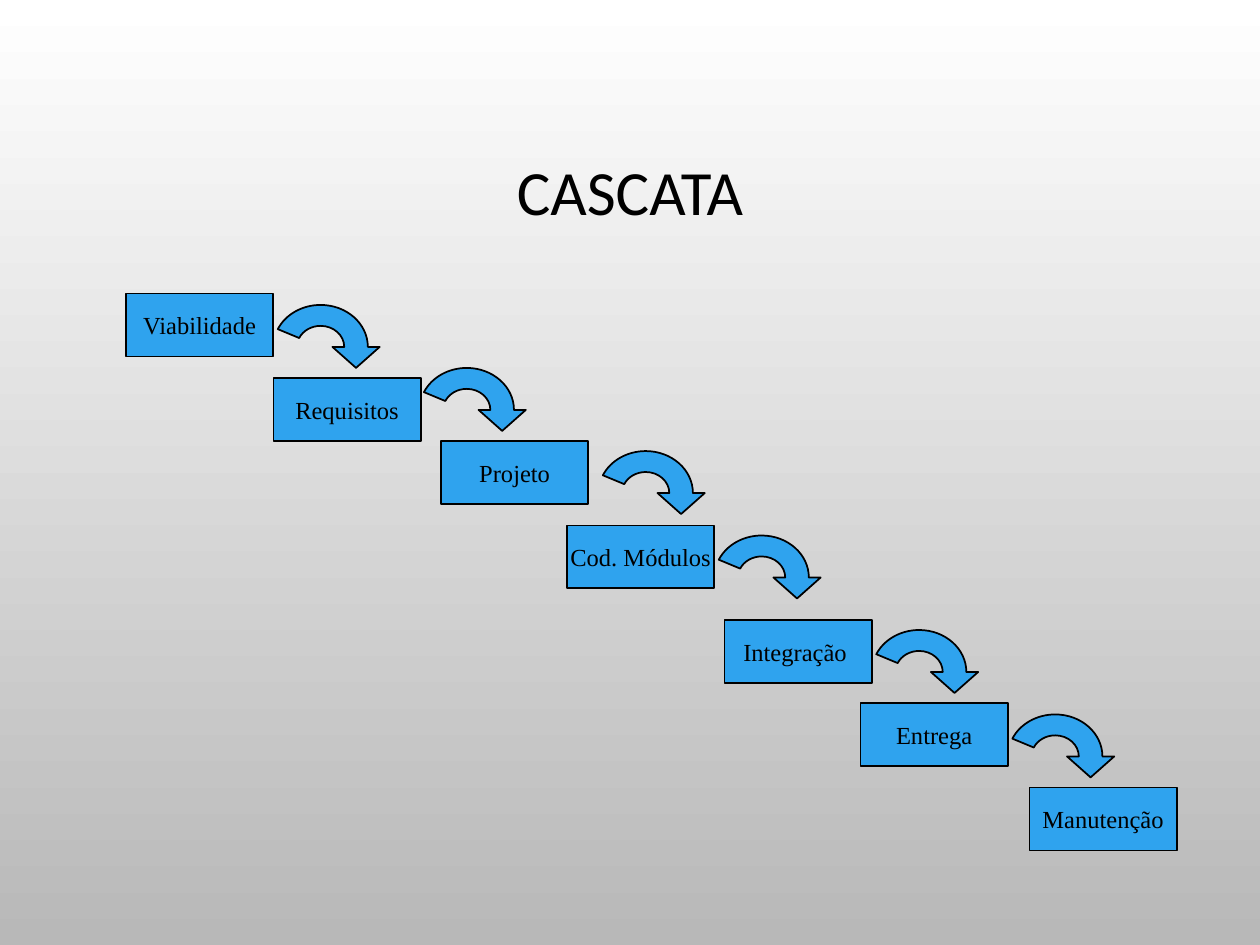
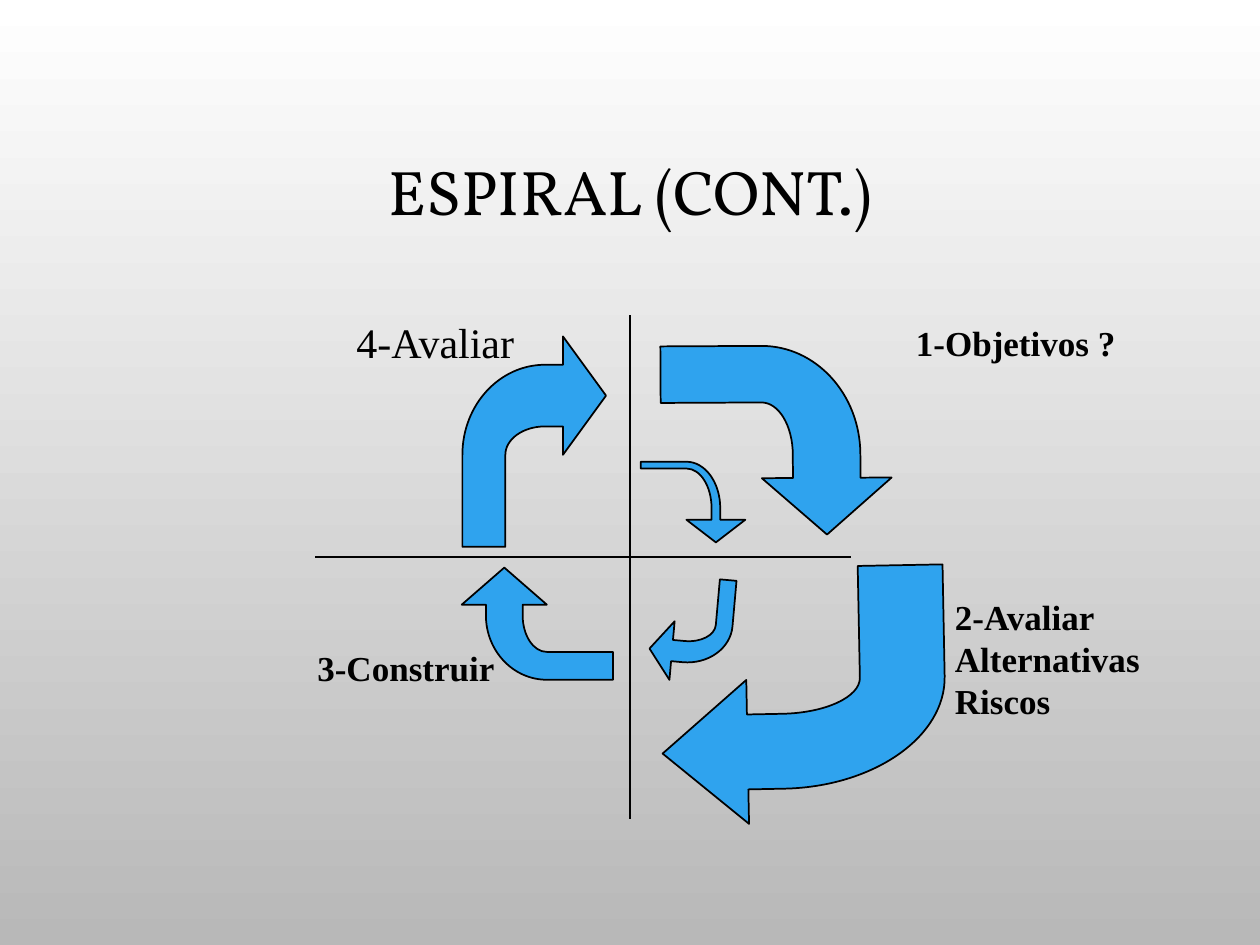
from dataclasses import dataclass
from math import cos, radians, sin, tan

from pptx import Presentation
from pptx.dml.color import RGBColor
from pptx.enum.shapes import MSO_CONNECTOR, MSO_SHAPE
from pptx.enum.text import MSO_ANCHOR, MSO_AUTO_SIZE, PP_ALIGN
from pptx.oxml.ns import qn
from pptx.util import Inches, Pt

BLACK, WHITE, GRAY, BLUE = "000000", "FFFFFF", "B8B8B8", "2FA3EE"
BODY_FONT = "Times New Roman"
RECT, STRAIGHT = MSO_SHAPE.RECTANGLE, MSO_CONNECTOR.STRAIGHT
CENTER, MIDDLE = PP_ALIGN.CENTER, MSO_ANCHOR.MIDDLE
FIT_TEXT = MSO_AUTO_SIZE.SHAPE_TO_FIT_TEXT
TITLE_ONLY = 5

STEP_W, STEP_H = 1.17, 0.5
CURVE_RX, CURVE_RY = 0.375, 0.333

Point = tuple[float, float]
Segment = list[Point]  # one point for a line, three for a Bézier curve


@dataclass
class Step:
    text: str
    left: float
    top: float


@dataclass
class BentArrow:
    """Arrow rising from the lower left and turning right, before rotation.

    neck is where the head starts across the width, and shaft_top is
    the upper edge of the shaft; both are fractions of the box.
    """
    left: float
    top: float
    width: float
    height: float
    rotation: float = 0
    neck: float = 0.7
    shaft_top: float = 0.135


@dataclass
class Label:
    text: str
    left: float
    top: float
    width: float
    height: float
    size: int = 20
    bold: bool = True


STEPS = [
    Step("Viabilidade", 1, 2.33),
    Step("Requisitos", 2.17, 3),
    Step("Projeto", 3.5, 3.5),
    Step("Cod. Módulos", 4.5, 4.17),
    Step("Integração ", 5.75, 4.92),
    Step("Entrega", 6.83, 5.58),
    Step("Manutenção", 8.17, 6.25),
]
CURVE_ORIGINS = [(2.17, 2.42), (3.33, 2.92), (4.75, 3.58),
                 (5.67, 4.25), (6.92, 5), (8, 5.67)]

AXES = [(5, 2.5, 5, 6.5), (2.5, 4.42, 6.75, 4.42)]
SPIRAL = [
    BentArrow(5.17, 4.58, 0.64, 0.83, 185.1, 0.72, 0.18),
    BentArrow(5.18, 3.57, 0.64, 0.83, 90, 0.72, 0.24),
    BentArrow(3.82, 4.35, 0.89, 1.2, 270, 0.67, 0.16),
    BentArrow(3.67, 2.67, 1.14, 1.67),
    BentArrow(5.41, 2.58, 1.5, 1.83, 89.7),
    BentArrow(5.25, 4.5, 2.25, 2.03, 178.9),
]
LABELS = [
    Label("1-Objetivos ?", 7.17, 2.5, 1.81, 0.44),
    Label("2-Avaliar\nAlternativas\nRiscos", 7.48, 4.68, 1.69, 1.44),
    Label("3-Construir", 2.42, 5.08, 1.63, 0.44),
    Label("4-Avaliar", 2.73, 2.46, 1.49, 0.5, 24, False),
]


def rgb(color: str) -> RGBColor:
    return RGBColor.from_string(color)


def format_text(tf, size: int, font: str = BODY_FONT, bold: bool = False,
                align=None) -> None:
    for p in tf.paragraphs:
        p.alignment = align
        for r in p.runs:
            r.font.size = Pt(size)
            r.font.name = font
            r.font.bold = bold
            r.font.color.rgb = rgb(BLACK)


def paint(sp) -> None:
    """Give a shape the blue fill and thin black outline."""
    sp.shadow.inherit = False
    sp.fill.solid()
    sp.fill.fore_color.rgb = rgb(BLUE)
    sp.line.color.rgb = rgb(BLACK)
    sp.line.width = Pt(1)


def set_background(prs) -> None:
    fill = prs.slide_master.background.fill
    fill.gradient()
    fill.gradient_angle = 270
    for stop, color in zip(fill.gradient_stops, (WHITE, GRAY)):
        stop.color.rgb = rgb(color)


def add_titled_slide(prs, text: str, font: str):
    s = prs.slides.add_slide(prs.slide_layouts[TITLE_ONLY])
    title = s.shapes.title
    title.left, title.top = Inches(0.75), Inches(0.68)
    title.width, title.height = Inches(8.5), Inches(1.74)
    tf = title.text_frame
    tf.text = text
    tf.vertical_anchor = MIDDLE
    tf.paragraphs[0].line_spacing = 0.9
    format_text(tf, 36, font, align=CENTER)
    return s


def arc(cx: float, cy: float, rx: float, ry: float,
        *angles: float) -> list[Segment]:
    """Start point, then a curve to each next angle, clockwise from right."""
    def at(angle: float) -> Point:
        return cx + rx * cos(angle), cy + ry * sin(angle)

    turns = [radians(angle) for angle in angles]
    segments = [[at(turns[0])]]
    for a, b in zip(turns, turns[1:]):
        k = 4 / 3 * tan((b - a) / 4)
        (x1, y1), (x2, y2) = at(a), at(b)
        segments.append([(x1 - k * rx * sin(a), y1 + k * ry * cos(a)),
                         (x2 + k * rx * sin(b), y2 - k * ry * cos(b)),
                         (x2, y2)])
    return segments


def add_outline(s, segments: list[Segment]):
    start, *rest = [(Inches(x), Inches(y)) for seg in segments for x, y in seg]
    builder = s.shapes.build_freeform(*start)
    builder.add_line_segments(rest, close=True)
    sp = builder.convert_to_shape()
    paint(sp)
    lines = iter(list(sp.element.iter(qn("a:lnTo"))))
    for seg in segments[1:]:
        group = [next(lines) for _ in seg]
        if len(seg) == 3:
            bend_lines(group)
    return sp


def bend_lines(group) -> None:
    """Turn three line elements into one cubic curve."""
    curve = group[0].makeelement(qn("a:cubicBezTo"), {})
    group[0].addprevious(curve)
    for line in group:
        curve.append(line[0])
        line.getparent().remove(line)


def add_step(s, step: Step) -> None:
    sp = s.shapes.add_shape(RECT, Inches(step.left), Inches(step.top),
                            Inches(STEP_W), Inches(STEP_H))
    paint(sp)
    tf = sp.text_frame
    tf.text = step.text
    tf.word_wrap = False
    tf.vertical_anchor = MIDDLE
    format_text(tf, 14, align=CENTER)


def add_curved_arrow(s, left: float, top: float) -> None:
    cx, cy = left + CURVE_RX, top + CURVE_RY
    rx, ry = CURVE_RX / 2, CURVE_RY / 2
    head = [[(cx + 2.5 * rx, cy)], [(cx + 1.5 * rx, cy + ry)],
            [(cx + 0.5 * rx, cy)]]
    add_outline(s, arc(cx, cy, rx, ry, 360, 270, 205)
                + arc(cx, cy, CURVE_RX, CURVE_RY, 205, 270, 360) + head)


def add_bent_arrow(s, arrow: BentArrow) -> None:
    bend_x, bend_y = 0.575, 0.563
    tip_y = bend_y / 2
    neck, shaft_top = arrow.neck, arrow.shaft_top
    shaft_bottom = bend_y - shaft_top
    tail = (tip_y - shaft_top) * bend_x / tip_y
    outline = [[(1, tip_y)], [(neck, 0)], [(neck, shaft_top)]]
    outline += arc(bend_x, bend_y, bend_x, shaft_bottom, 270, 180)
    outline += [[(0, 1)], [(tail, 1)]]
    outline += arc(bend_x, bend_y, bend_x - tail, shaft_top, 180, 270)
    outline += [[(neck, shaft_bottom)], [(neck, bend_y)]]
    sp = add_outline(s, [[(arrow.left + x * arrow.width,
                           arrow.top + y * arrow.height) for x, y in seg]
                         for seg in outline])
    sp.rotation = arrow.rotation


def add_axis(s, x1: float, y1: float, x2: float, y2: float) -> None:
    line = s.shapes.add_connector(STRAIGHT, Inches(x1), Inches(y1),
                                  Inches(x2), Inches(y2))
    line.line.color.rgb = rgb(BLACK)
    line.line.width = Pt(1)
    sp_pr = line.element.spPr
    sp_pr.append(sp_pr.makeelement(qn("a:effectLst"), {}))


def add_label(s, label: Label) -> None:
    box = s.shapes.add_textbox(Inches(label.left), Inches(label.top),
                               Inches(label.width), Inches(label.height))
    tf = box.text_frame
    tf.text = label.text
    tf.word_wrap = False
    tf.auto_size = FIT_TEXT
    format_text(tf, label.size, bold=label.bold)


def build_waterfall(prs) -> None:
    s = add_titled_slide(prs, "CASCATA", "Calibri")
    for step in STEPS:
        add_step(s, step)
    for origin in CURVE_ORIGINS:
        add_curved_arrow(s, *origin)


def build_spiral(prs) -> None:
    s = add_titled_slide(prs, "ESPIRAL (CONT.)", "Vollkorn")
    for axis in AXES:
        add_axis(s, *axis)
    for arrow in SPIRAL:
        add_bent_arrow(s, arrow)
    for label in LABELS:
        add_label(s, label)


def main() -> None:
    prs = Presentation()
    prs.slide_width, prs.slide_height = Inches(10), Inches(7.5)
    set_background(prs)
    build_waterfall(prs)
    build_spiral(prs)
    prs.save("out.pptx")


if __name__ == "__main__":
    main()
